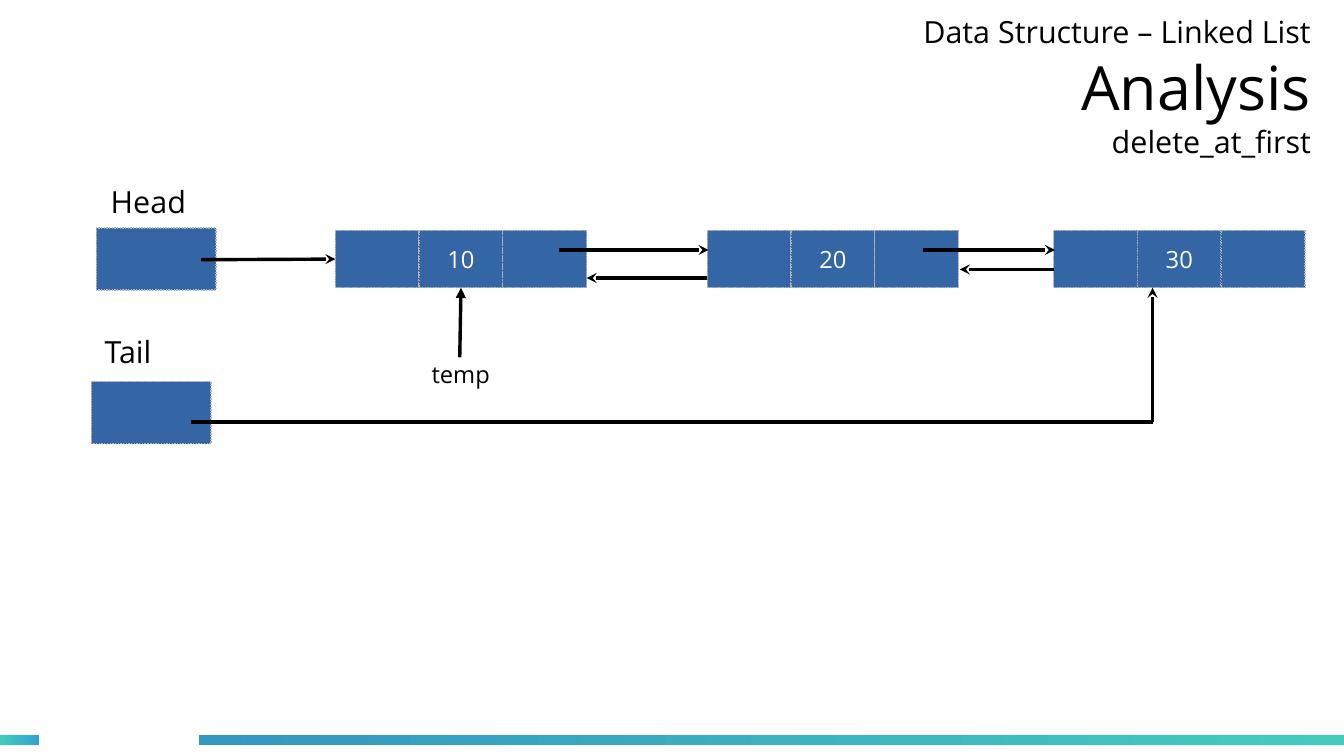
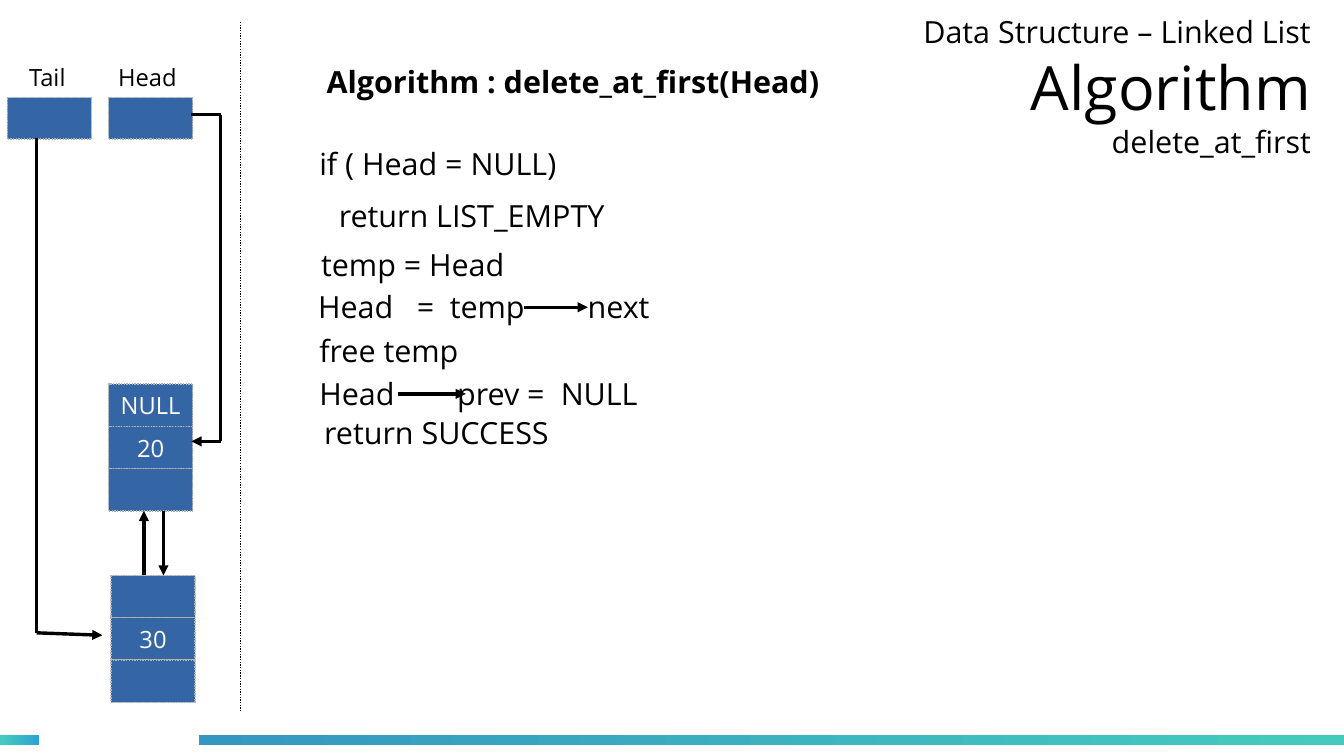
from lxml import etree
from pptx import Presentation
from pptx import util as u
from pptx.dml import color
from pptx.enum import dml, shapes, text
from pptx.oxml import ns

BLACK, WHITE, NODE, EDGE = "000000", "FFFFFF", "3465A4", "B2B2B2"
TEAL, SKY, OCEAN = "43CCBD", "30A2D2", "3497C1"
FONT = "Open Sans"
NO_MARGINS = dict.fromkeys(("margin_left", "margin_right", "margin_top", "margin_bottom"), 0)
MIDDLE = {"vertical_anchor": text.MSO_ANCHOR.MIDDLE, "word_wrap": True, **NO_MARGINS}
BOTTOM, LEFT = 2, 1


def paint(hex_string):
    return color.RGBColor.from_string(hex_string)


def apply(target, values):
    for name, value in values.items():
        setattr(target, name, value)


def inches(*lengths):
    return [u.Inches(length) for length in lengths]


def write(para, words, size=18, hue=BLACK, bold=False):
    span = para.add_run()
    span.text = words
    apply(span.font, {"name": FONT, "size": u.Pt(size), "bold": bold})
    span.font.color.rgb = paint(hue)


def add_label(page, words, left, top, width, height=0.44, tabs=(), **style):
    box = page.shapes.add_textbox(*inches(left, top, width, height))
    box.text_frame.word_wrap = True
    para = box.text_frame.paragraphs[0]
    if tabs:
        stops = etree.SubElement(para._p.get_or_add_pPr(), ns.qn("a:tabLst"))
        for stop in tabs:
            etree.SubElement(stops, ns.qn("a:tab"), pos=str(u.Inches(stop)), algn="l")
    write(para, words, **style)


def add_title(page, heading):
    box = page.shapes.add_textbox(*inches(7.29, -0.02, 3.46, 1.45))
    frame = box.text_frame
    apply(frame, MIDDLE)
    lines = (("Data Structure – Linked List", 18), (heading, 36), ("delete_at_first", 18))
    for index, (words, size) in enumerate(lines):
        para = frame.add_paragraph() if index else frame.paragraphs[0]
        para.alignment = text.PP_ALIGN.RIGHT
        write(para, words, size)


def add_rectangle(page, left, top, width, height):
    box = page.shapes.add_shape(shapes.MSO_SHAPE.RECTANGLE, *inches(left, top, width, height))
    box.shadow.inherit = False
    return box


def add_band(page, left, width, start, end):
    band = add_rectangle(page, left, 6.03, width, 0.08)
    band.line.fill.background()
    band.fill.gradient()
    band.fill.gradient_angle = 0
    for stop, hue in zip(band.fill.gradient_stops, (start, end)):
        stop.color.rgb = paint(hue)


def add_cell(page, left, top, width, height, words=""):
    cell = add_rectangle(page, left, top, width, height)
    cell.fill.solid()
    cell.fill.fore_color.rgb = paint(NODE)
    cell.line.color.rgb = paint(EDGE)
    apply(cell.line, {"width": u.Pt(0.79), "dash_style": dml.MSO_LINE.ROUND_DOT})
    if words:
        apply(cell.text_frame, MIDDLE)
        para = cell.text_frame.paragraphs[0]
        para.alignment = text.PP_ALIGN.CENTER
        write(para, words, 14, WHITE)
    return cell


def add_row_node(page, left, value):
    width = 2.06 / 3
    return [add_cell(page, left + index * width, 1.89, width, 0.47, words)
            for index, words in enumerate(("", value, ""))]


def add_column_node(page, left, top, *values):
    height = 1.04 / 3
    for index, words in enumerate(values):
        add_cell(page, left, top + index * height, 0.69, height, words)


def add_line(page, start, end, head=None, width=0, dash=None):
    line = page.shapes.add_connector(shapes.MSO_CONNECTOR.STRAIGHT, *inches(*start, *end))
    line.line.color.rgb = paint(BLACK)
    apply(line.line, {"width": u.Pt(width), "dash_style": dash})
    if head:
        etree.SubElement(line.line._get_or_add_ln(), ns.qn("a:tailEnd"), type=head)
    etree.SubElement(line._element.spPr, ns.qn("a:effectLst"))
    return line


def add_path(page, head, *points):
    last = len(points) - 2
    for index, (start, end) in enumerate(zip(points, points[1:])):
        add_line(page, start, end, head if index == last else None)


def add_page(deck, heading):
    page = deck.slides.add_slide(deck.slide_layouts[6])
    add_band(page, 0, 0.32, TEAL, SKY)
    add_band(page, 1.63, 9.4, OCEAN, TEAL)
    add_title(page, heading)
    return page


def build_analysis(deck):
    page = add_page(deck, "Analysis")
    first = add_row_node(page, 2.75, "10")
    add_row_node(page, 5.8, "20")
    add_row_node(page, 8.64, "30")
    add_cell(page, 0.79, 1.87, 0.98, 0.51)
    add_cell(page, 0.75, 3.13, 0.98, 0.51)
    add_label(page, "Head", 0.81, 1.45, 1)
    add_label(page, "Tail", 0.76, 2.68, 1)
    add_label(page, "temp", 3.44, 2.9, 0.8, 0.36, size=14)
    add_line(page, (3.77, 2.93), (3.75, 2.36), "triangle").end_connect(first[1], BOTTOM)
    add_line(page, (1.65, 2.13), (2.75, 2.13), "stealth").end_connect(first[0], LEFT)
    links = (
        ((4.58, 2.05), (5.81, 2.05)),
        ((5.8, 2.28), (4.81, 2.28)),
        ((7.57, 2.05), (8.65, 2.05)),
        ((8.64, 2.21), (7.87, 2.21)),
        ((1.57, 3.46), (9.45, 3.46), (9.45, 2.36)),
    )
    for points in links:
        add_path(page, "stealth", *points)


def build_algorithm(deck):
    page = add_page(deck, "Algorithm")
    add_line(page, (1.97, 0.18), (1.97, 5.83), width=0.79, dash=dml.MSO_LINE.ROUND_DOT)
    for words, box_left, label_left in (("Tail", 0.06, 0.14), ("Head", 0.89, 0.87)):
        add_cell(page, box_left, 0.8, 0.69, 0.34)
        add_label(page, words, label_left, 0.47, 0.8, 0.36, size=14)
    add_column_node(page, 0.89, 3.15, "NULL", "20", "")
    add_column_node(page, 0.91, 4.72, "", "30", "")
    add_label(page, "Algorithm : delete_at_first(Head)", 2.58, 0.47, 5.53, bold=True)
    steps = (
        ("if ( Head = NULL)", 2.52, 1.14, ()),
        ("return LIST_EMPTY", 2.68, 1.57, ()),
        (" temp = Head", 2.47, 1.97, ()),
        ("Head\t=\ttemp\tnext", 2.51, 2.31, (0.81, 1.08, 2.21)),
        ("free temp", 2.52, 2.67, ()),
        ("Head\tprev =\tNULL", 2.52, 3.03, (1.13, 1.98)),
        ("return SUCCESS", 2.56, 3.35, ()),
    )
    for words, left, top, tabs in steps:
        add_label(page, words, left, top, 4, tabs=tabs)
    links = (
        ((1.34, 4.19), (1.34, 4.72)),
        ((1.18, 4.72), (1.18, 4.19)),
        ((0.3, 1.13), (0.3, 5.19), (0.84, 5.21)),
        ((1.57, 0.94), (1.81, 0.94), (1.81, 3.62), (1.57, 3.62)),
        ((4.3, 2.52), (4.82, 2.52)),
        ((3.26, 3.23), (3.82, 3.23)),
    )
    for points in links:
        add_path(page, "triangle", *points)


def main():
    deck = Presentation()
    apply(deck, {"slide_width": u.Inches(11.02), "slide_height": u.Inches(6.2)})
    build_analysis(deck)
    build_algorithm(deck)
    deck.save("out.pptx")


if __name__ == "__main__":
    main()
